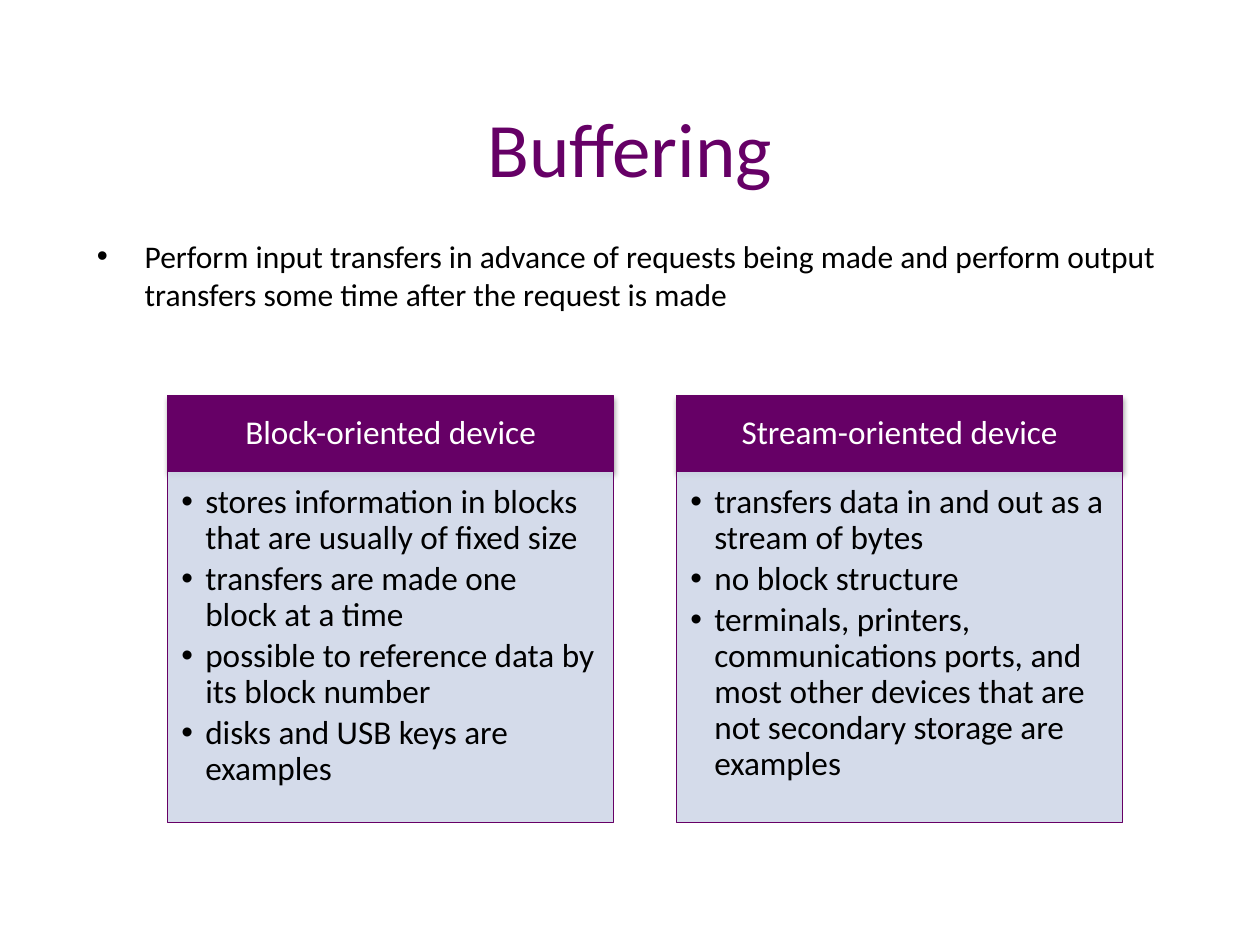
from lxml.etree import SubElement
from pptx import Presentation
from pptx.dml.color import RGBColor
from pptx.enum.shapes import MSO_SHAPE as Shape
from pptx.enum.text import MSO_ANCHOR as Anchor, PP_ALIGN as Align
from pptx.oxml.ns import qn
from pptx.util import Inches, Pt

FONT = "Calibri"
PURPLE, PALE, BLACK, WHITE = "660066", "D0D8E8", "000000", "FFFFFF"
LEFT, COLUMN_WIDTH, COLUMN_STEP = 1.33, 3.54, 4.04
TOP, HEADER_HEIGHT, BODY_HEIGHT = 3.14, 0.6, 2.79

INTRO = ("Perform input transfers in advance of requests being made and "
         "perform output transfers some time after the request is made")
DEVICES = {
    "Block-oriented device": [
        "stores information in blocks that are usually of fixed size",
        "transfers are made one block at a time",
        "possible to reference data by its block number",
        "disks and USB keys are examples",
    ],
    "Stream-oriented device": [
        "transfers data in and out as a stream of bytes",
        "no block structure",
        "terminals, printers, communications ports, and most other devices "
        "that are not secondary storage are examples",
    ],
}


def colour(hex_value):
    return RGBColor.from_string(hex_value)


def add_bullet(para, indent):
    """Give the paragraph a round bullet with a hanging indent in inches."""
    props = para._p.get_or_add_pPr()
    props.set("marL", str(Inches(indent)))
    props.set("indent", str(-Inches(indent)))
    SubElement(props, qn("a:buFont"), typeface="Arial")
    SubElement(props, qn("a:buChar"), char="•")


def write(frame, lines, size, ink, align=Align.LEFT, indent=None,
          spacing=None, after=0, anchor=Anchor.TOP,
          insets=(0.1, 0.05, 0.1, 0.05)):
    """Fill a text frame, one paragraph a line; insets run from left clockwise."""
    frame.word_wrap = True
    frame.vertical_anchor = anchor
    (frame.margin_left, frame.margin_top,
     frame.margin_right, frame.margin_bottom) = map(Inches, insets)
    for number, line in enumerate(lines):
        para = frame.add_paragraph() if number else frame.paragraphs[0]
        para.text = line
        para.alignment = align
        para.line_spacing = spacing
        para.space_after = Pt(after)
        if indent:
            add_bullet(para, indent)
        font = para.font
        font.name, font.size = FONT, Pt(size)
        font.color.rgb = colour(ink)


def add_text(page, left, top, width, height, lines, **style):
    box = page.shapes.add_textbox(*map(Inches, (left, top, width, height)))
    write(box.text_frame, lines, **style)


def add_panel(page, left, top, height, fill):
    panel = page.shapes.add_shape(
        Shape.RECTANGLE, *map(Inches, (left, top, COLUMN_WIDTH, height)))
    panel.shadow.inherit = False
    panel.fill.solid()
    panel.fill.fore_color.rgb = colour(fill)
    panel.line.color.rgb = colour(PURPLE)
    panel.line.width = Pt(0.75)
    return panel


def add_opacity(colour_node, percent):
    SubElement(colour_node, qn("a:alpha"), val=str(percent * 1000))


def add_shadow(panel):
    effects = panel._element.spPr.find(qn("a:effectLst"))
    shadow = SubElement(effects, qn("a:outerShdw"), blurRad=str(Pt(3.1)),
                        dist=str(Pt(1.8)), dir="5400000", rotWithShape="0")
    add_opacity(SubElement(shadow, qn("a:srgbClr"), val=BLACK), 35)


def add_device(page, column, heading, facts):
    left = LEFT + column * COLUMN_STEP
    header = add_panel(page, left, TOP, HEADER_HEIGHT, PURPLE)
    add_shadow(header)
    write(header.text_frame, [heading], size=19, ink=WHITE,
          align=Align.CENTER, spacing=0.9, anchor=Anchor.MIDDLE,
          insets=(0.15, 0.08, 0.15, 0.08))

    body = add_panel(page, left, TOP + HEADER_HEIGHT, BODY_HEIGHT, PALE)
    add_opacity(body._element.spPr.find(qn("a:solidFill"))[0], 90)
    write(body.text_frame, facts, size=19, ink=BLACK, indent=0.19,
          spacing=0.9, after=2.85, insets=(0.11, 0.11, 0.15, 0.17))


def main():
    deck = Presentation()
    deck.slide_width, deck.slide_height = Inches(10), Inches(7.5)
    page = deck.slides.add_slide(deck.slide_layouts[6])

    add_text(page, 0.72, 0.5, 8.56, 1.33, ["Buffering"], size=44, ink=PURPLE,
             align=Align.CENTER, anchor=Anchor.MIDDLE)
    add_text(page, 0.67, 1.83, 8.63, 0.8, [INTRO], size=18, ink=BLACK,
             indent=0.38)
    for column, (heading, facts) in enumerate(DEVICES.items()):
        add_device(page, column, heading, facts)

    deck.save("out.pptx")


if __name__ == "__main__":
    main()
